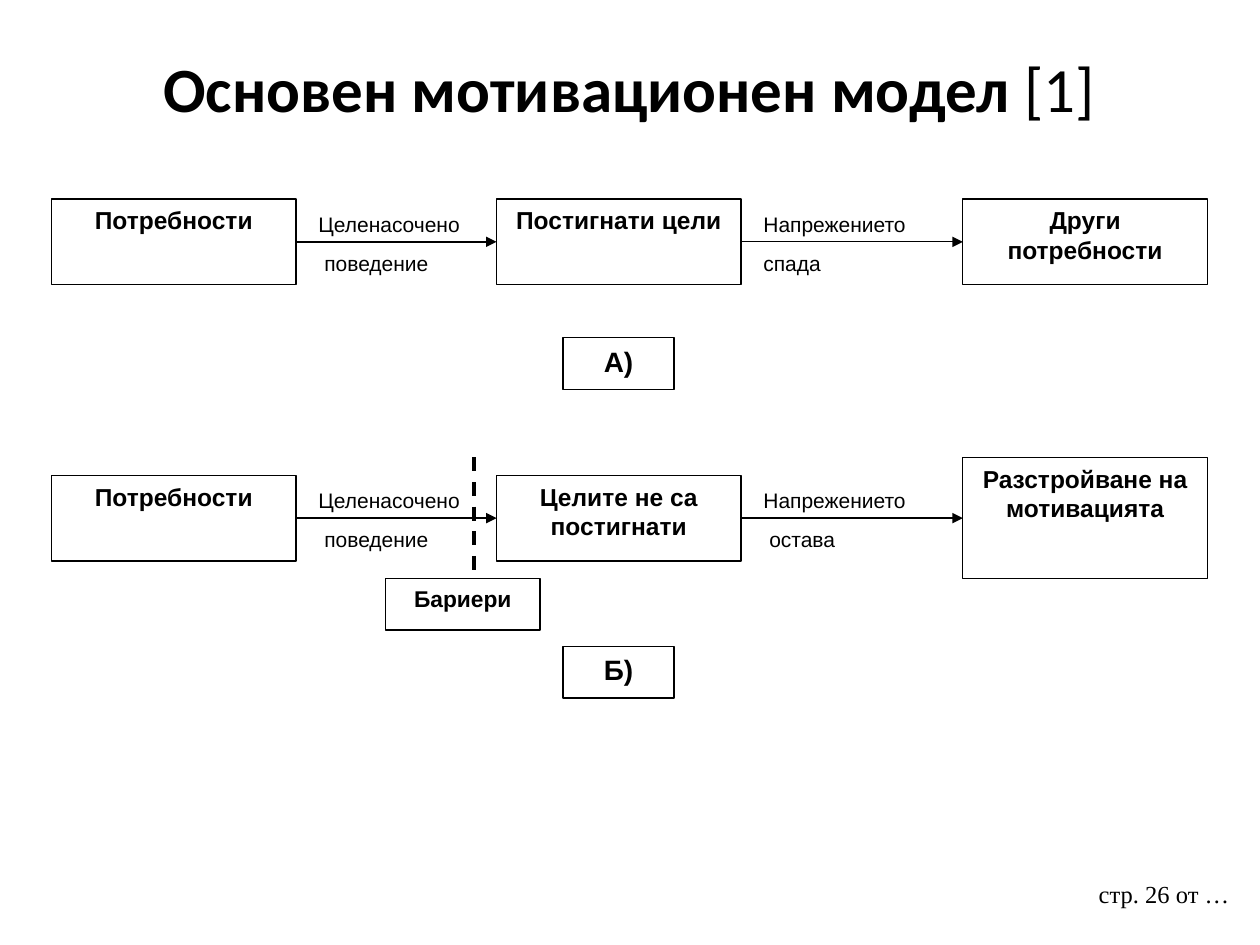
from pptx import Presentation
from pptx.dml.color import RGBColor
from pptx.enum.dml import MSO_LINE
from pptx.enum.shapes import MSO_CONNECTOR, MSO_SHAPE
from pptx.enum.text import MSO_ANCHOR, PP_ALIGN
from pptx.oxml.ns import qn
from pptx.util import Cm, Pt
from lxml.etree import SubElement

INK = {name: RGBColor.from_string(code)
       for name, code in {"black": "000000", "white": "FFFFFF"}.items()}

deck = Presentation()
deck.slide_width, deck.slide_height = Cm(25.4), Cm(19.05)
slide = deck.slides.add_slide(deck.slide_layouts[5])


def add_box(text, x, y, w, h, size=14, label=False, pad=(0.25, 0.13)):
    box = slide.shapes.add_shape(MSO_SHAPE.RECTANGLE, Cm(x), Cm(y), Cm(w), Cm(h))
    box.shadow.inherit = False
    box.fill.solid()
    box.fill.fore_color.rgb = INK["white"]
    if label:
        box.line.fill.background()
    else:
        box.line.color.rgb = INK["black"]
        box.line.width = Pt(0.75)
    frame = box.text_frame
    end = 0 if label else pad[0]
    look = {"word_wrap": True, "vertical_anchor": MSO_ANCHOR.TOP,
            "margin_left": Cm(pad[0]), "margin_top": Cm(pad[1]),
            "margin_right": Cm(end), "margin_bottom": Cm(0 if label else pad[1])}
    for key, value in look.items():
        setattr(frame, key, value)
    para = frame.paragraphs[0]
    para.text = text
    para.alignment = PP_ALIGN.LEFT if label else PP_ALIGN.CENTER
    for key, value in {"name": "Arial", "size": Pt(size), "bold": not label}.items():
        setattr(para.font, key, value)
    para.font.color.rgb = INK["black"]


def add_line(x1, y1, x2, y2, width, arrow=True):
    line = slide.shapes.add_connector(
        MSO_CONNECTOR.STRAIGHT, Cm(x1), Cm(y1), Cm(x2), Cm(y2))
    line.line.color.rgb = INK["black"]
    line.line.width = Pt(width)
    if arrow:
        SubElement(line.line._get_or_add_ln(), qn("a:tailEnd"), type="triangle")
    else:
        line.line.dash_style = MSO_LINE.DASH
    SubElement(line._element.spPr, qn("a:effectLst"))


# Title
title = slide.shapes.title
place = {"left": 1.04, "top": 0.71, "width": 23.29, "height": 2.11}
for key, value in place.items():
    setattr(title, key, Cm(value))
title.text_frame.vertical_anchor = MSO_ANCHOR.MIDDLE
para = title.text_frame.paragraphs[0]
para.alignment = PP_ALIGN.CENTER
for text, bold in (("Основен мотивационен модел ", True), ("[1]", False)):
    run = para.add_run()
    run.text = text
    for key, value in {"name": "Calibri", "size": Pt(36), "bold": bold}.items():
        setattr(run.font, key, value)
    run.font.color.rgb = INK["black"]

# Two rows of the model: boxes, arrows with labels, row mark
cols = (1.04, 10.01, 19.41)
wide, tall = 4.93, 1.73
rows = (
    (4.01, ("Потребности", "Постигнати цели", "Други потребности"),
     (("Целенасочено", "поведение", 0.12), ("Напрежението", "спада", 0)),
     "А)", 6.81, 0),
    (9.58, ("Потребности", "Целите не са постигнати", "Разстройване на мотивацията"),
     (("Целенасочено", "поведение", 0.12), ("Напрежението", "остава", 0.12)),
     "Б)", 13.03, 0.36),
)
for top, names, labels, mark, low, grow in rows:
    for i, (x, name) in enumerate(zip(cols, names)):
        more = grow if i == 2 else 0
        add_box(name, x, top - more, wide, tall + 2 * more)
    mid = top + tall / 2
    for i, (over, under, dent) in enumerate(labels):
        start = cols[i] + wide
        add_box(over, start + 0.45, top, 3.12, 0.69, 12, True, (0, 0.25))
        add_box(under, start + 0.45, top + 1.04, 3.12, 0.69, 12, True, (dent, 0))
        add_line(start, mid, cols[i + 1], mid, (1.25, 0.75)[i])
    add_box(mark, 11.35, low, 2.24, 1.04, 16)

# Barrier
add_line(9.56, 9.22, 9.56, 11.66, 2, arrow=False)
add_box("Бариери", 7.77, 11.66, 3.12, 1.04, 13)

# Page number
note = slide.shapes.add_textbox(Cm(21.9), Cm(17.6), Cm(3.3), Cm(1.32))
note.text_frame.word_wrap = True
para = note.text_frame.paragraphs[0]
para.text = "стр. 26 от …"
for key, value in {"name": "Times New Roman", "size": Pt(14)}.items():
    setattr(para.font, key, value)
para.font.color.rgb = INK["black"]

deck.save("out.pptx")
